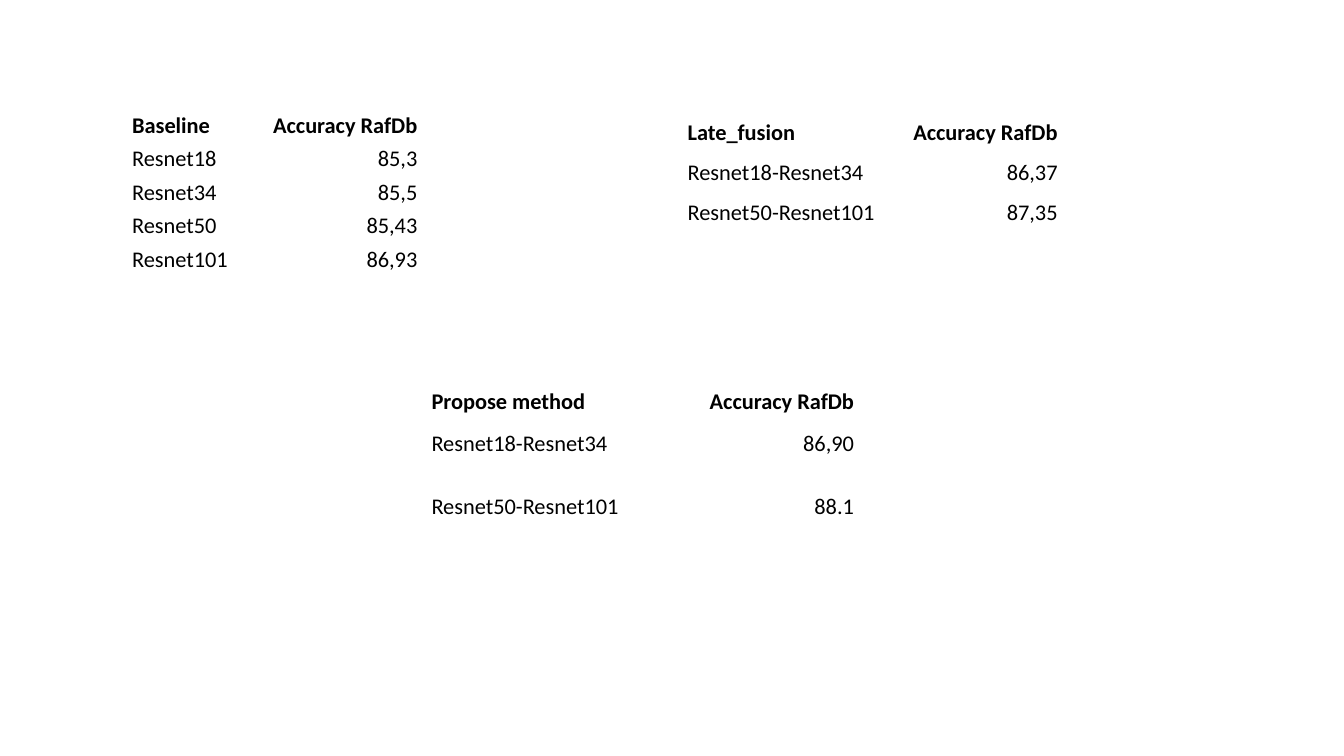
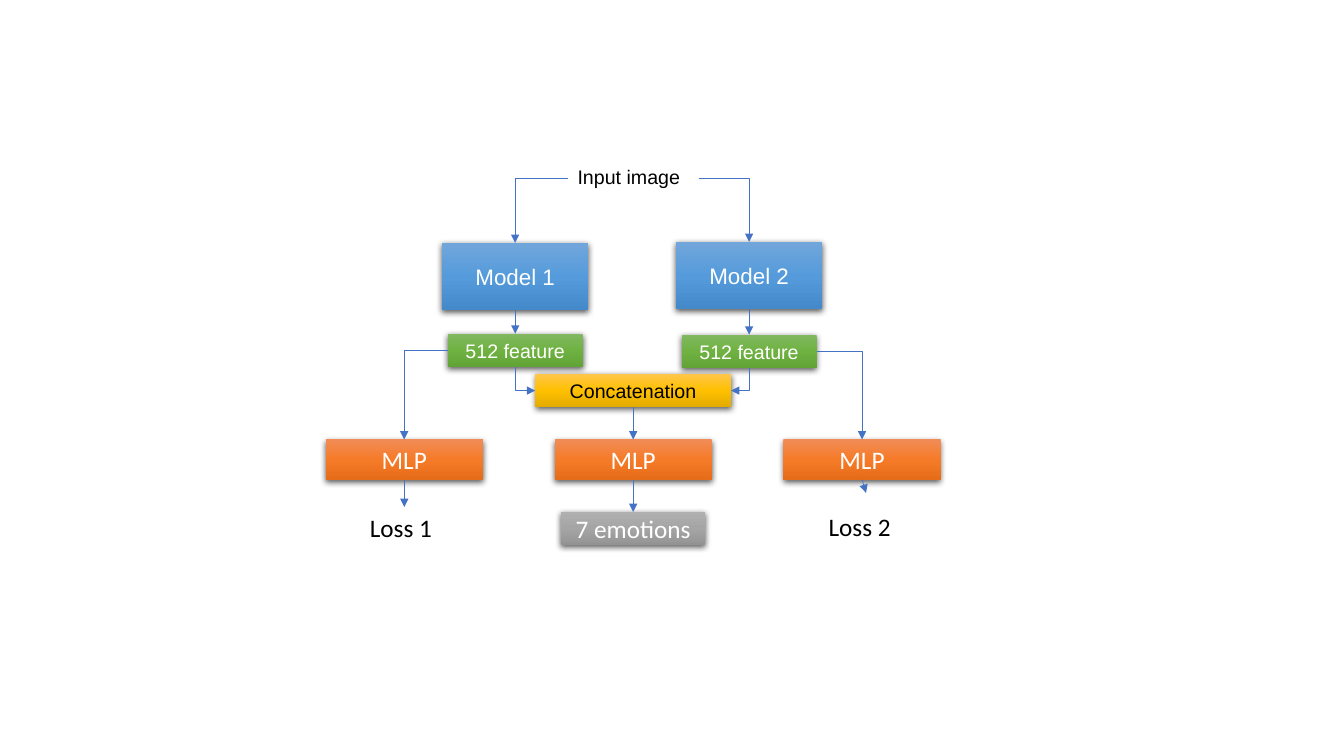
from copy import deepcopy
from dataclasses import dataclass

from lxml.etree import SubElement
from pptx import Presentation
from pptx.dml.color import RGBColor
from pptx.enum.shapes import MSO_CONNECTOR, MSO_SHAPE
from pptx.enum.text import MSO_ANCHOR, PP_ALIGN
from pptx.oxml.ns import qn
from pptx.util import Inches, Pt


@dataclass(frozen=True)
class Theme:
    black: str = "000000"
    white: str = "FFFFFF"
    line: str = "4472C4"
    blue: tuple = ("71A6DB", "559BDB", "448ACA")
    green: tuple = ("81B861", "6FB242", "62A336")
    gold: tuple = ("FFC64B", "FFC000", "E3AB00")
    orange: tuple = ("F18C57", "F67B28", "E56C19")
    gray: tuple = ("AFAFAF", "A5A5A5", "939393")
    sans: str = "Arial"
    body: str = "Calibri"
    small: int = 14
    medium: int = 16
    large: int = 18


theme = Theme()


def write_text(text_frame, text, font_name, size, color, alignment, bold=False):
    text_frame.text = text
    paragraph = text_frame.paragraphs[0]
    paragraph.alignment = alignment
    font = paragraph.runs[0].font
    font.name, font.size, font.bold = font_name, Pt(size), bold
    font.color.rgb = RGBColor.from_string(color)


def connect(slide, kind, start, start_site, end=None, end_site=0, end_point=(0, 0), arrow="a:tailEnd"):
    """Join two shapes, or a shape and a free point, at sites 0 top, 1 left, 2 bottom, 3 right."""
    x, y = map(Inches, end_point)
    connector = slide.shapes.add_connector(kind, x, y, x, y)
    connector.begin_connect(start, start_site)
    if end is not None:
        connector.end_connect(end, end_site)
    connector.line.color.rgb = RGBColor.from_string(theme.line)
    connector.line.width = Pt(0.5)
    properties = connector._element.spPr
    if kind == MSO_CONNECTOR.ELBOW:
        properties.find(qn("a:prstGeom")).set("prst", "bentConnector2")
    SubElement(properties.find(qn("a:ln")), qn(arrow), type="triangle")
    SubElement(properties, qn("a:effectLst"))


presentation = Presentation()
presentation.slide_width, presentation.slide_height = Inches(13.33), Inches(7.5)
blank = presentation.slide_layouts[6]

# Accuracy tables: left, top, column widths, row heights, rows
results_slide = presentation.slides.add_slide(blank)
accuracy = "Accuracy RafDb"
tables = [
    (6.81, 1.1, (1.94, 1.75), [0.4] * 3,
     [("Late_fusion", accuracy), ("Resnet18-Resnet34", "86,37"), ("Resnet50-Resnet101", "87,35")]),
    (4.27, 3.75, (2.21, 2), [0.42, 0.42, 0.62],
     [("Propose method", accuracy), ("Resnet18-Resnet34", "86,90"), ("Resnet50-Resnet101", "88.1")]),
    (1.3, 1.1, (1.23, 1.62), [0.33] * 5,
     [("Baseline", accuracy), ("Resnet18", "85,3"), ("Resnet34", "85,5"),
      ("Resnet50", "85,43"), ("Resnet101", "86,93")]),
]
for left, top, widths, heights, rows in tables:
    table = results_slide.shapes.add_table(
        len(rows), len(widths), Inches(left), Inches(top),
        Inches(sum(widths)), Inches(sum(heights))).table
    table.first_row = table.horz_banding = False
    for column, width in zip(table.columns, widths):
        column.width = Inches(width)
    for row_index, (height, values) in enumerate(zip(heights, rows)):
        table.rows[row_index].height = Inches(height)
        for column_index, value in enumerate(values):
            cell = table.cell(row_index, column_index)
            cell.fill.background()
            cell.vertical_anchor = MSO_ANCHOR.BOTTOM
            cell.margin_left = cell.margin_right = cell.margin_top = Inches(0.01)
            cell.margin_bottom = Inches(0.05)
            alignment = PP_ALIGN.RIGHT if column_index else PP_ALIGN.LEFT
            write_text(cell.text_frame, value, theme.body, theme.medium, theme.black,
                       alignment, bold=row_index == 0)

# Network diagram
network_slide = presentation.slides.add_slide(blank)
left_model, right_model = 5.11, 7.43
left_branch, middle_branch, right_branch = (4.01 + 2.27 * step for step in range(3))

# Box kinds: width, height, gradient, font, size, text colour
model = (1.45, 0.67, theme.blue, theme.sans, theme.medium, theme.white)
feature = (1.34, 0.33, theme.green, theme.sans, theme.small, theme.white)
fusion = (1.94, 0.33, theme.gold, theme.sans, theme.small, theme.black)
mlp = (1.56, 0.4, theme.orange, theme.body, theme.large, theme.white)
output = (1.43, 0.33, theme.gray, theme.body, theme.large, theme.white)
boxes = [
    ("model 1", model, "Model 1", left_model, 2.41),
    ("model 2", model, "Model 2", right_model, 2.4),
    ("feature 1", feature, "512 feature", left_model, 3.31),
    ("feature 2", feature, "512 feature", right_model, 3.32),
    ("fusion", fusion, "Concatenation", middle_branch, 3.71),
    ("mlp 1", mlp, "MLP", left_branch, 4.36),
    ("mlp", mlp, "MLP", middle_branch, 4.36),
    ("mlp 2", mlp, "MLP", right_branch, 4.36),
    ("output", output, "7 emotions", middle_branch, 5.08),
]
shapes = {}
for key, (width, height, gradient, font_name, size, color), text, center, top in boxes:
    shape = network_slide.shapes.add_shape(
        MSO_SHAPE.RECTANGLE, Inches(center - width / 2), Inches(top), Inches(width), Inches(height))
    shape.line.fill.background()
    shape.fill.gradient()
    shape.fill.gradient_angle = 270
    properties = shape._element.spPr
    stop_list = properties.find(".//" + qn("a:gsLst"))
    stop_list.insert(1, deepcopy(stop_list[0]))
    for stop, position, stop_color in zip(shape.fill.gradient_stops, (0, 0.5, 1), gradient):
        stop.position = position
        stop.color.rgb = RGBColor.from_string(stop_color)
    shape.shadow.inherit = False
    shadow = SubElement(properties.find(qn("a:effectLst")), qn("a:outerShdw"),
                        blurRad=str(Pt(4.5)), dist=str(Pt(1.5)), dir="5400000",
                        algn="ctr", rotWithShape="0")
    shadow_color = SubElement(shadow, qn("a:srgbClr"), val=theme.black)
    SubElement(shadow_color, qn("a:alpha"), val="63000")
    shape.text_frame.word_wrap = True
    shape.text_frame.vertical_anchor = MSO_ANCHOR.MIDDLE
    write_text(shape.text_frame, text, font_name, size, color, PP_ALIGN.CENTER)
    shapes[key] = shape

labels = [
    ("input", "Input image", 5.63, 1.59, 1.3, 0.36, theme.sans, theme.small),
    ("loss 1", "Loss 1", 3.57, 5.03, 0.88, 0.44, theme.body, theme.large),
    ("loss 2", "Loss 2", 8.12, 5.02, 0.88, 0.44, theme.body, theme.large),
]
for key, text, left, top, width, height, font_name, size in labels:
    label = network_slide.shapes.add_textbox(Inches(left), Inches(top), Inches(width), Inches(height))
    label.text_frame.word_wrap = True
    write_text(label.text_frame, text, font_name, size, theme.black, PP_ALIGN.LEFT)
    shapes[key] = label

for start, end in [("model 1", "feature 1"), ("model 2", "feature 2"), ("fusion", "mlp"),
                   ("mlp", "output"), ("mlp 1", "loss 1")]:
    connect(network_slide, MSO_CONNECTOR.STRAIGHT, shapes[start], 2, shapes[end], 0)
connect(network_slide, MSO_CONNECTOR.STRAIGHT, shapes["mlp 2"], 2, end_point=(8.59, 4.89))

for number, side in ((1, 1), (2, 3)):
    model_box, feature_box, mlp_box = (shapes[f"{key} {number}"] for key in ("model", "feature", "mlp"))
    connect(network_slide, MSO_CONNECTOR.ELBOW, shapes["input"], side, model_box, 0)
    connect(network_slide, MSO_CONNECTOR.ELBOW, feature_box, side, mlp_box, 0)
    # This elbow runs from the fusion box back to the feature, so its arrowhead is at the start
    connect(network_slide, MSO_CONNECTOR.ELBOW, shapes["fusion"], side, feature_box, 2, arrow="a:headEnd")

presentation.save("out.pptx")
